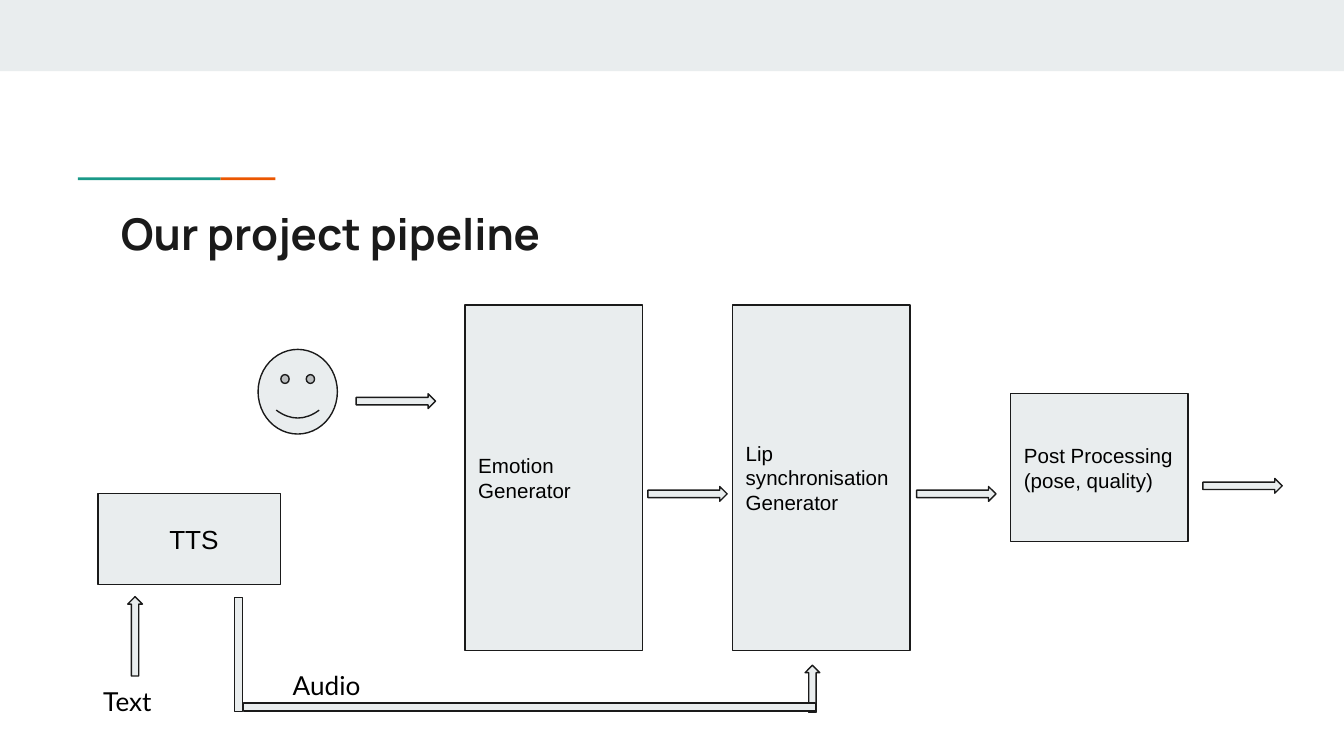
from typing import NamedTuple

from pptx import Presentation
from pptx.dml.color import RGBColor
from pptx.enum.shapes import MSO_SHAPE
from pptx.enum.text import MSO_ANCHOR, MSO_AUTO_SIZE, PP_ALIGN
from pptx.util import Inches, Pt

PALE = RGBColor(0xE9, 0xED, 0xEE)
DARK = RGBColor(0x1A, 0x1A, 0x1A)
BLACK = RGBColor(0, 0, 0)
TEAL = RGBColor(0x1A, 0x99, 0x88)
ORANGE = RGBColor(0xEB, 0x56, 0x00)


class Box(NamedTuple):
    left: float
    top: float
    width: float
    height: float
    lines: list[str]
    size: int = 11
    inset: float = 0.1


class Arrow(NamedTuple):
    left: float
    top: float
    length: float = 0.59
    turn: int = 0


class Label(NamedTuple):
    left: float
    top: float
    text: str


def add_shape(slide, kind, left: float, top: float, width: float,
              height: float, fill: RGBColor = PALE, edge: bool = True):
    shape = slide.shapes.add_shape(
        kind, Inches(left), Inches(top), Inches(width), Inches(height))
    shape.shadow.inherit = False
    shape.fill.solid()
    shape.fill.fore_color.rgb = fill
    if edge:
        shape.line.color.rgb = DARK
        shape.line.width = Pt(0.75)
    else:
        shape.line.fill.background()
    return shape


def write(frame, lines: list[str], font: str, size: float,
          color: RGBColor = BLACK, bold: bool = False) -> None:
    frame.text = "\n".join(lines)
    frame.word_wrap = True
    frame.auto_size = MSO_AUTO_SIZE.NONE
    frame.margin_left = frame.margin_top = frame.margin_bottom = Inches(0.1)
    frame.margin_right = Inches(0.05)
    for para in frame.paragraphs:
        para.alignment = PP_ALIGN.LEFT
        para.font.name = font
        para.font.size = Pt(size)
        para.font.color.rgb = color
        para.font.bold = bold


def add_box(slide, box: Box) -> None:
    shape = add_shape(slide, MSO_SHAPE.RECTANGLE, *box[:4])
    frame = shape.text_frame
    write(frame, box.lines, "Arial", box.size)
    frame.margin_left = Inches(box.inset)
    frame.vertical_anchor = MSO_ANCHOR.MIDDLE


def add_arrow(slide, arrow: Arrow) -> None:
    shape = add_shape(slide, MSO_SHAPE.RIGHT_ARROW, arrow.left, arrow.top,
                      arrow.length, 0.11)
    shape.rotation = arrow.turn


def add_label(slide, label: Label) -> None:
    text = slide.shapes.add_textbox(Inches(label.left), Inches(label.top),
                                    Inches(0.73), Inches(0.24))
    write(text.text_frame, [label.text], "Lato", 14)


BOXES = [
    Box(0.73, 3.67, 1.36, 0.68, ["TTS"], 14, 0.53),
    Box(3.46, 2.27, 1.32, 2.57, ["Emotion Generator"]),
    Box(5.45, 2.27, 1.32, 2.57, ["Lip synchronisation Generator"]),
    Box(7.52, 2.93, 1.32, 1.1, ["Post Processing", "(pose, quality)"]),
]
ARROWS = [
    Arrow(5.87, 5.07, 0.35, 270),
    Arrow(2.65, 2.93),
    Arrow(4.82, 3.62),
    Arrow(6.82, 3.62),
    Arrow(8.95, 3.56),
    Arrow(0.71, 4.68, turn=270),
]
LABELS = [Label(0.67, 5, "Text"), Label(2.08, 4.88, "Audio")]


def main() -> None:
    # Widescreen, 16 to 9
    deck = Presentation()
    deck.slide_width = Inches(10)
    deck.slide_height = Inches(10 * 9 / 16)
    slide = deck.slides.add_slide(deck.slide_layouts[5])

    # Header band and two-colour accent line
    rect = MSO_SHAPE.RECTANGLE
    add_shape(slide, rect, 0, 0, 10, 0.53, edge=False)
    add_shape(slide, rect, 1.64, 1.32, 0.41, 0.02, ORANGE, False)
    add_shape(slide, rect, 0.58, 1.32, 1.06, 0.02, TEAL, False)

    # Title
    title = slide.shapes.title
    title.left, title.top = Inches(0.8), Inches(1.44)
    title.width, title.height = Inches(8.41), Inches(0.59)
    write(title.text_frame, ["Our project pipeline"], "Manrope", 23.4,
          DARK, True)
    title.text_frame.vertical_anchor = MSO_ANCHOR.TOP

    # Pipeline stages and the face input
    for box in BOXES:
        add_box(slide, box)
    face = add_shape(slide, MSO_SHAPE.SMILEY_FACE, 1.92, 2.6, 0.59, 0.63)
    face.adjustments[0] = 0.047

    # Flow arrows, then the audio path on top
    for arrow in ARROWS:
        add_arrow(slide, arrow)
    add_shape(slide, rect, 1.81, 5.23, 4.26, 0.06)
    pipe = add_shape(slide, rect, 1.35, 4.84, 0.85, 0.06)
    pipe.rotation = 90

    for label in LABELS:
        add_label(slide, label)

    deck.save("out.pptx")


if __name__ == "__main__":
    main()
